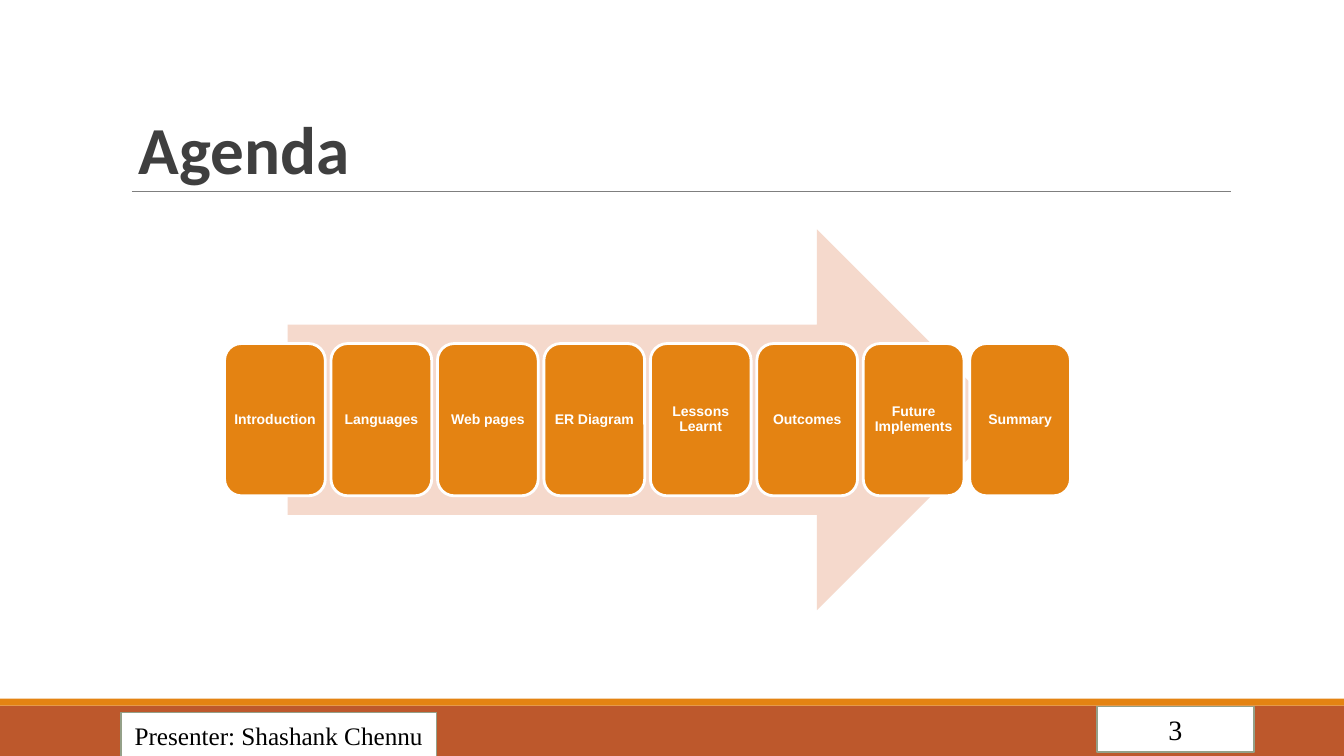
"""Build the Agenda slide: a row of topic cards on a wide arrow."""
from lxml import etree
from pptx import Presentation
from pptx.dml.color import RGBColor
from pptx.enum import shapes, text
from pptx.oxml import ns
from pptx.util import Pt

TITLE = "Agenda"
TOPICS = ["Introduction", "Languages", "Web pages", "ER Diagram",
          "Lessons Learnt", "Outcomes", "Future Implements", "Summary"]
BANDS = [(0, 504, 960, 36, "BD582C"), (0, 499, 960, 5, "E48312")]
LABELS = [("3", 20, (783.4, 504.7, 112.3, 32.4)),
          ("Presenter: Shashank Chennu", 18, (86.4, 509, 225.4, 32.4))]
ARROW = (205.5, 163.8, 514, 272)
CARD_LEFT, CARD_TOP, CARD_W, CARD_H, CARD_STEP = 160.4, 245.4, 72, 108.8, 76.04


def color(value):
    return RGBColor.from_string(value)


def add_box(s, kind, box, fill, line=None, width=0):
    sp = s.shapes.add_shape(kind, *map(Pt, box))
    sp.shadow.inherit = False
    sp.fill.solid()
    sp.fill.fore_color.rgb = color(fill)
    if line:
        sp.line.color.rgb = color(line)
        sp.line.width = Pt(width)
    else:
        sp.line.fill.background()
    return sp


def write(sp, words, font, size, ink, bold=False, align=text.PP_ALIGN.CENTER,
          anchor=text.MSO_ANCHOR.MIDDLE, spacing=1.0):
    tf = sp.text_frame
    tf.text = words
    tf.word_wrap = True
    tf.vertical_anchor = anchor
    p = tf.paragraphs[0]
    p.alignment = align
    p.line_spacing = spacing
    r = p.runs[0]
    r.font.name = font
    r.font.size = Pt(size)
    r.font.bold = bold
    r.font.color.rgb = color(ink)


def main():
    prs = Presentation()
    prs.slide_width, prs.slide_height = Pt(960), Pt(540)
    s = prs.slides.add_slide(prs.slide_layouts[5])
    kinds = shapes.MSO_SHAPE

    for *box, fill in BANDS:
        add_box(s, kinds.RECTANGLE, box, fill)

    rule = s.shapes.add_connector(shapes.MSO_CONNECTOR.STRAIGHT,
                                  Pt(94.3), Pt(136.8), Pt(879), Pt(136.8))
    rule.line.color.rgb = color("7F7F7F")
    rule.line.width = Pt(0.75)
    etree.SubElement(rule._element.spPr, ns.qn("a:effectLst"))

    title = s.shapes.title
    title.left, title.top, title.width, title.height = map(Pt, (92, 24, 792, 114.3))
    write(title, TITLE, "Calibri", 48, "3F3F3F", True, text.PP_ALIGN.LEFT,
          text.MSO_ANCHOR.BOTTOM, 0.85)

    for words, size, box in LABELS:
        sp = add_box(s, kinds.RECTANGLE, box, "FFFFFF", "94A088", 1.25)
        write(sp, words, "Times New Roman", size, "000000")

    add_box(s, kinds.RIGHT_ARROW, ARROW, "F5D9CC")
    for i, topic in enumerate(TOPICS):
        box = (CARD_LEFT + i * CARD_STEP, CARD_TOP, CARD_W, CARD_H)
        card = add_box(s, kinds.ROUNDED_RECTANGLE, box, "E48312", "FFFFFF", 2)
        tf = card.text_frame
        tf.margin_left = tf.margin_right = tf.margin_top = tf.margin_bottom = Pt(2.5)
        write(card, topic, "Arial", 10, "FFFFFF", True, spacing=0.9)

    prs.save("out.pptx")


if __name__ == "__main__":
    main()
